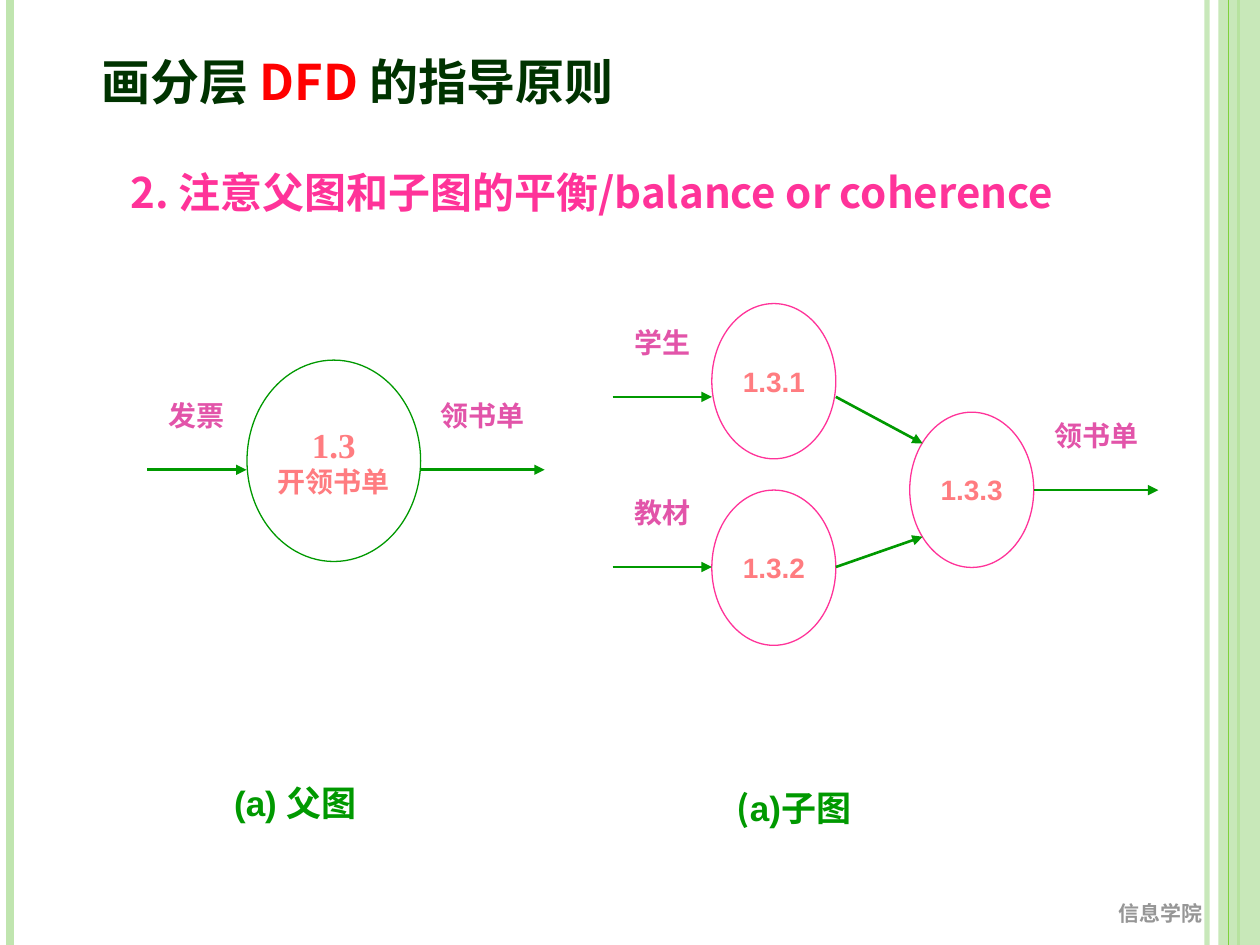
"""Build a slide on balancing parent and child data flow diagrams."""
from dataclasses import dataclass

from lxml.etree import SubElement
from pptx import Presentation
from pptx.dml.color import RGBColor
from pptx.enum.shapes import MSO_CONNECTOR, MSO_SHAPE
from pptx.enum.text import MSO_ANCHOR, PP_ALIGN
from pptx.oxml.ns import qn
from pptx.util import Cm, Pt


@dataclass(frozen=True)
class Theme:
    title: str = "003300"
    accent: str = "FF0000"
    pink: str = "FF3399"
    label: str = "E254A9"
    process: str = "FF7C80"
    green: str = "009900"
    footer: str = "969696"
    pale: str = "C0E5AF"
    stripe: str = "7FD13B"
    title_size: int = 28
    heading_size: int = 24
    large_size: int = 20
    body_size: int = 16
    footer_size: int = 12
    sans: str = "Arial"
    serif: str = "Times New Roman"
    cjk: str = "Noto Sans CJK SC"


def write(paragraph, text, *, size, color, font, align=PP_ALIGN.LEFT):
    paragraph.alignment = align
    run = paragraph.add_run()
    run.text = text
    run.font.size = Pt(size)
    run.font.bold = True
    run.font.name = font
    run.font.color.rgb = RGBColor.from_string(color)
    SubElement(run.font._element, qn("a:ea"), typeface=Theme.cjk)


def paint(fill, color, opacity=100):
    fill.solid()
    fill.fore_color.rgb = RGBColor.from_string(color)
    if opacity < 100:
        tint = fill._xPr.find(f"{qn('a:solidFill')}/{qn('a:srgbClr')}")
        SubElement(tint, qn("a:alpha"), val=str(opacity * 1000))


class DiagramSlide:
    def __init__(self, slide, theme):
        self.shapes = slide.shapes
        self.theme = theme

    def line(self, start, end, color, width, opacity=100, arrow=False):
        link = self.shapes.add_connector(
            MSO_CONNECTOR.STRAIGHT, *(Cm(v) for v in (*start, *end)))
        link.line.width = Pt(width)
        paint(link.line.fill, color, opacity)
        if arrow:
            SubElement(link.line._ln, qn("a:tailEnd"), type="triangle")
        SubElement(link._element.spPr, qn("a:effectLst"))

    def stripe(self, x, color, width, opacity=100):
        self.line((x, 0), (x, 19.05), color, width, opacity)

    def band(self, x, width):
        band = self.shapes.add_shape(
            MSO_SHAPE.RECTANGLE, Cm(x), Cm(0), Cm(width), Cm(19.05))
        band.shadow.inherit = False
        paint(band.fill, self.theme.pale, 87)
        band.line.fill.background()

    def text(self, x, y, width, height, anchor=MSO_ANCHOR.TOP):
        frame = self.shapes.add_textbox(
            Cm(x), Cm(y), Cm(width), Cm(height)).text_frame
        frame.word_wrap = True
        frame.vertical_anchor = anchor
        return frame

    def process(self, x, y, width, height, outline, lines):
        bubble = self.shapes.add_shape(
            MSO_SHAPE.OVAL, Cm(x), Cm(y), Cm(width), Cm(height))
        bubble.shadow.inherit = False
        bubble.fill.background()
        bubble.line.width = Pt(0.75)
        paint(bubble.line.fill, outline)
        frame = bubble.text_frame
        frame.word_wrap = False
        frame.vertical_anchor = MSO_ANCHOR.MIDDLE
        for index, (words, size, font) in enumerate(lines):
            paragraph = frame.add_paragraph() if index else frame.paragraphs[0]
            write(paragraph, words, size=size, font=font,
                  color=self.theme.process, align=PP_ALIGN.CENTER)

    def arrow(self, start, end):
        self.line(start, end, self.theme.green, 1.5, arrow=True)

    def flow(self, name, x, length, y):
        self.arrow((x, y), (x + length, y))
        frame = self.text(x - 0.25, y - 1.57, length + 0.5, 0.94)
        write(frame.paragraphs[0], name, size=self.theme.body_size,
              color=self.theme.label, font=self.theme.serif,
              align=PP_ALIGN.CENTER)

    def caption(self, x, y, parts):
        frame = self.text(x, y, 3.5, 2.18, MSO_ANCHOR.MIDDLE)
        for words, font in parts:
            write(frame.paragraphs[0], words, size=self.theme.large_size,
                  color=self.theme.green, font=font)

    def heading(self, title_parts, principle):
        frame = self.text(1.8, 0.91, 21.51, 3.66)
        for words, color in title_parts:
            write(frame.paragraphs[0], words, size=self.theme.title_size,
                  color=color, font=self.theme.cjk)
        second = frame.add_paragraph()
        second.space_before = Pt(32)
        second._p.get_or_add_pPr().set("marL", str(Cm(0.58)))
        write(second, principle, size=self.theme.heading_size,
              color=self.theme.pink, font=self.theme.cjk)

    def footer(self, words):
        frame = self.text(22.3, 18.03, 3.05, 0.76)
        write(frame.paragraphs[0], words, size=self.theme.footer_size,
              color=self.theme.footer, font=self.theme.serif)


def main():
    theme = Theme()
    deck = Presentation()
    deck.slide_width, deck.slide_height = Cm(25.4), Cm(19.05)
    page = DiagramSlide(deck.slides.add_slide(deck.slide_layouts[6]), theme)

    page.stripe(24.33, theme.pale, 3, 86)
    page.stripe(0.2, theme.pale, 4.5)
    page.stripe(24.97, theme.stripe, 1.5)
    page.band(24.56, 0.84)
    page.stripe(24.77, theme.stripe, 0.75)
    page.footer("信息学院")
    page.heading(
        [("画分层 ", theme.title), ("DFD ", theme.accent),
         ("的指导原则", theme.title)],
        "2. 注意父图和子图的平衡/balance or coherence")

    page.process(4.98, 7.26, 3.5, 4.06, theme.green,
                 [("1.3", theme.large_size, theme.serif),
                  ("开领书单", theme.body_size, theme.serif)])
    for number, x, y in (("1.3.1", 14.35, 6.12), ("1.3.2", 14.35, 9.88),
                         ("1.3.3", 18.34, 8.31)):
        page.process(x, y, 2.5, 3.13, theme.pink,
                     [(number, theme.body_size, theme.sans)])

    for name, x, length, y in (
            ("发票", 2.97, 2, 9.47), ("领书单", 8.48, 2.5, 9.47),
            ("学生", 12.35, 2, 8), ("教材", 12.35, 2, 11.43),
            ("领书单", 20.85, 2.5, 9.88)):
        page.flow(name, x, length, y)
    page.arrow((16.85, 8), (18.6, 8.94))
    page.arrow((16.85, 11.43), (18.6, 10.82))

    page.caption(4.47, 15.09, [("(a) ", theme.sans), ("父图", theme.cjk)])
    page.caption(14.6, 15.19, [("(", theme.cjk), ("a)", theme.sans),
                               ("子图", theme.cjk)])
    deck.save("out.pptx")


if __name__ == "__main__":
    main()
